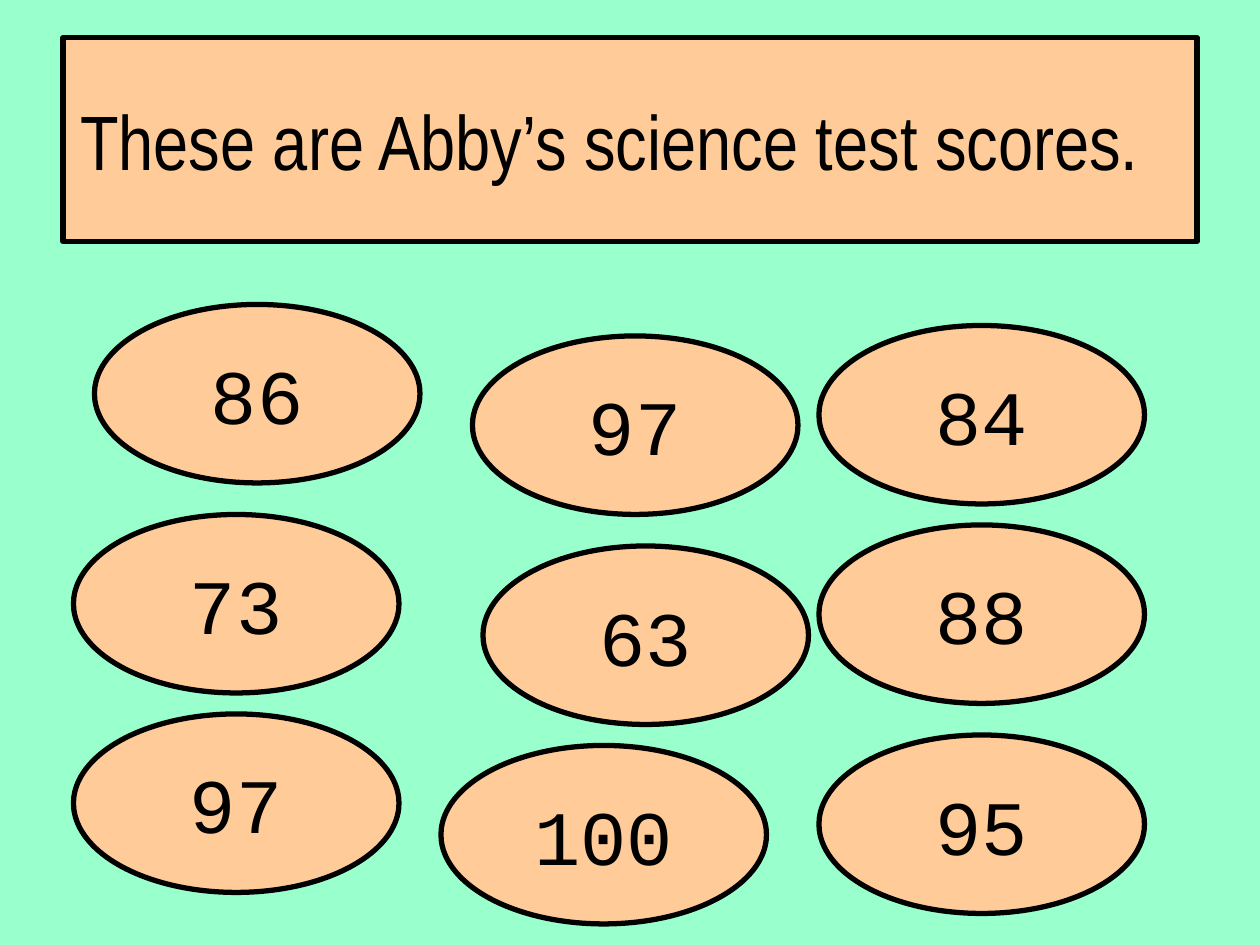
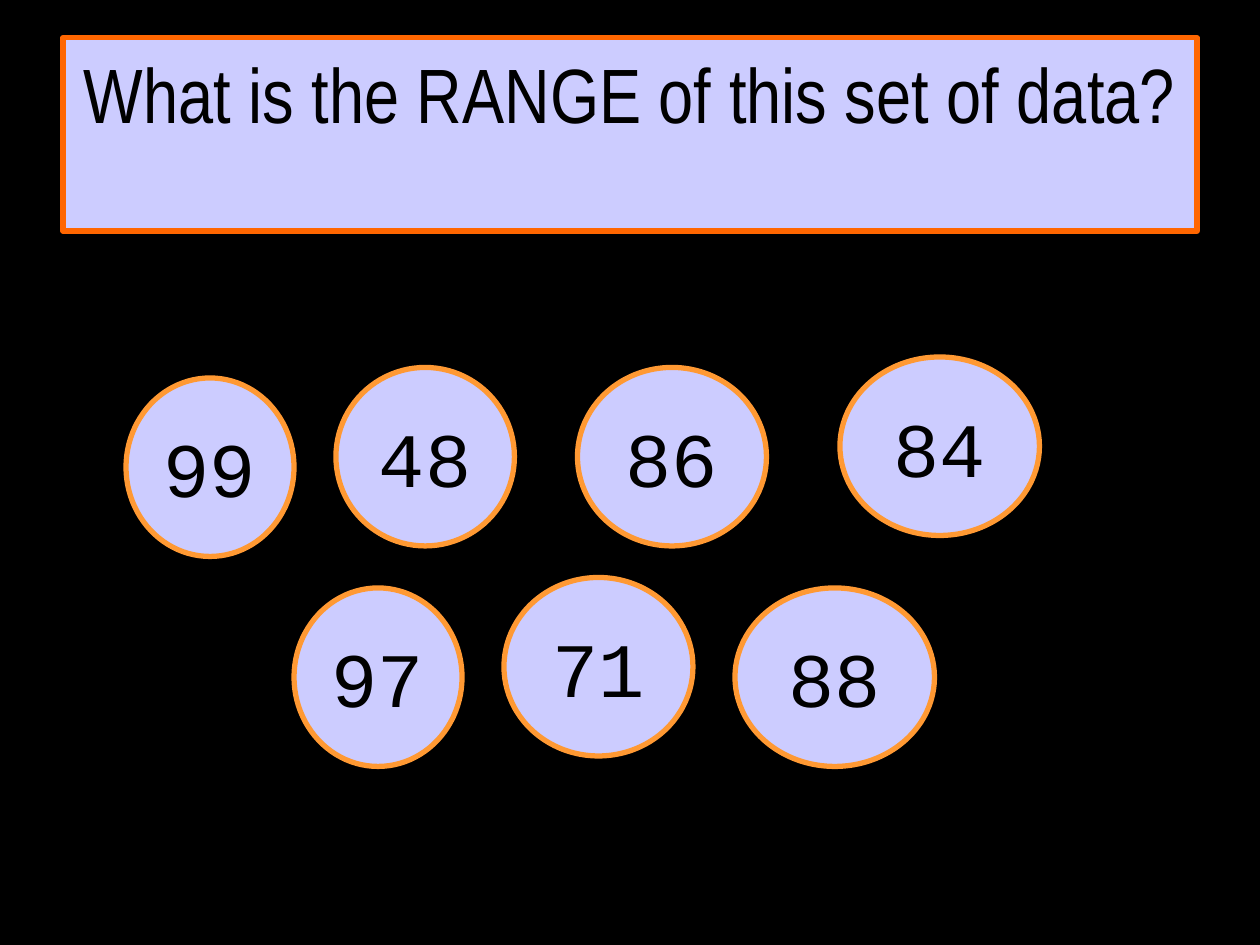
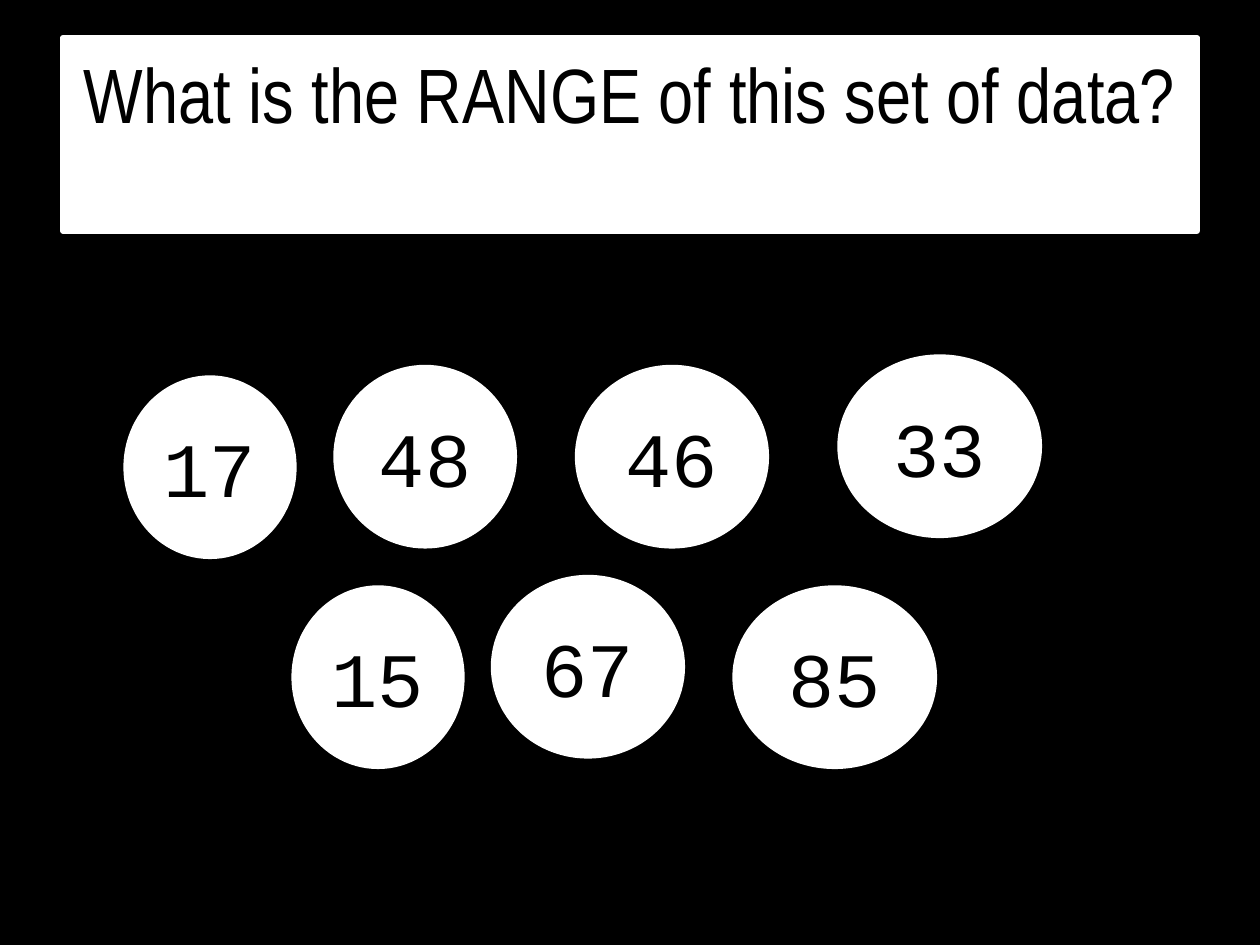
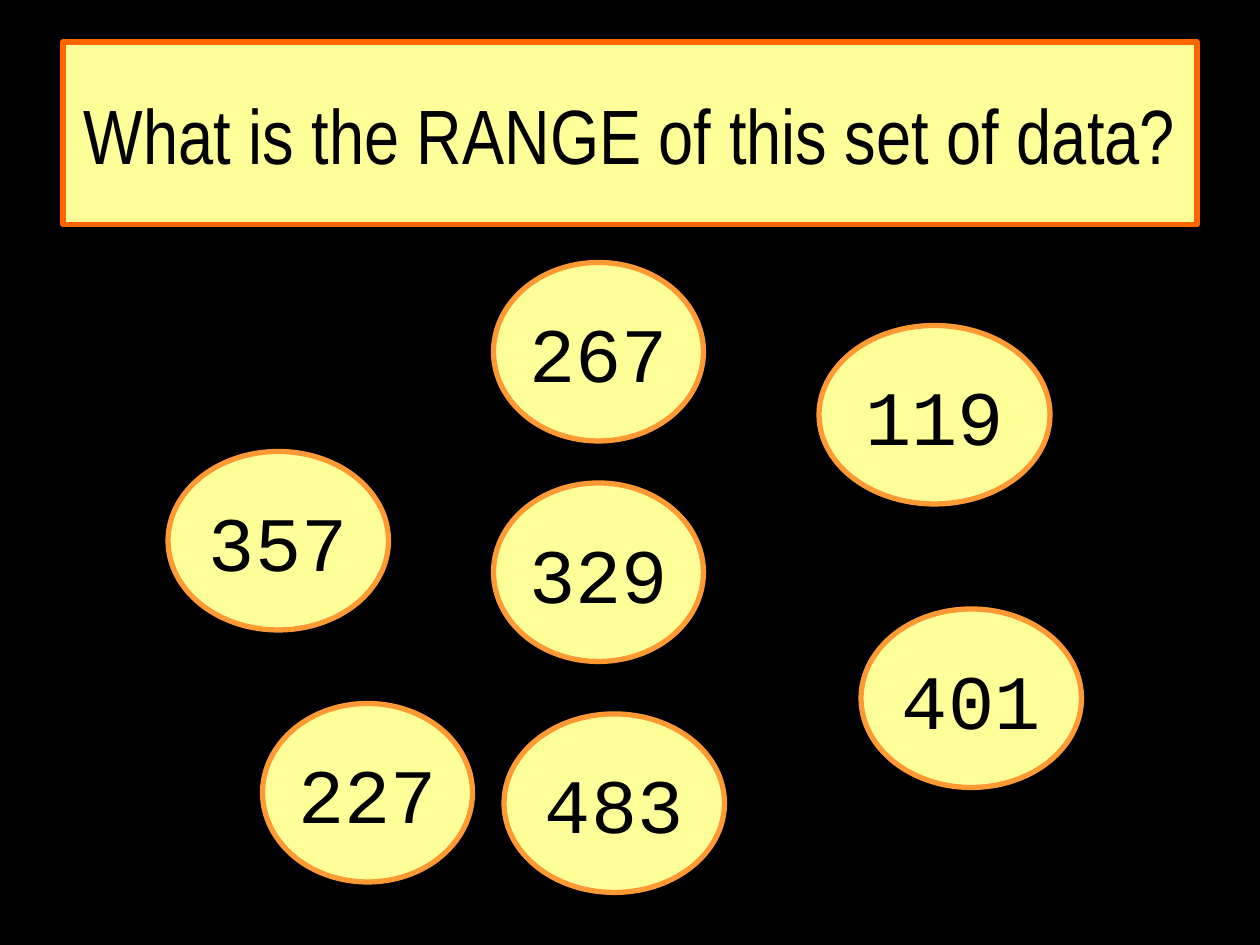
from pptx import Presentation
from pptx.dml.color import RGBColor
from pptx.enum.shapes import MSO_SHAPE as Preset
from pptx.enum.text import MSO_ANCHOR as Anchor, MSO_AUTO_SIZE as AutoSize, PP_ALIGN as Align
from pptx.util import Emu, Pt

# Shared style
PX = 7620  # 120 px to the inch
BLACK, WHITE, MINT = "000000", "FFFFFF", "99FFCC"
PEACH, LILAC, YELLOW = "FFCC99", "CCCCFF", "FFFF99"
DEEP_ORANGE, ORANGE = "FF6600", "FF9933"
TITLE_FONT, SCORE_FONT = "Arial Narrow", "Courier New"
TITLE_LEFT, TITLE_WIDTH = 60, 1080
SCORE_HEIGHT = 170
QUESTION = "What is the RANGE of this set of data?"

# Places of the numbers: left, top, width
TEST_SPOTS = [(left, top, 310) for left, top in (
    (450, 320), (780, 310), (70, 490), (780, 500), (420, 710),
    (460, 520), (70, 680), (780, 700), (90, 290))]
WIDE_SPOTS = [(800, 340, 190), (480, 550, 180), (700, 560, 190), (120, 360, 160),
              (320, 350, 170), (280, 560, 160), (550, 350, 180)]
WHITE_SPOTS = [(470, 550, 180) if spot == (480, 550, 180) else spot
               for spot in WIDE_SPOTS]
HUNDREDS_SPOTS = [(470, 250, 200), (780, 310, 220), (160, 430, 210), (820, 580, 210),
                  (470, 460, 200), (480, 680, 210), (250, 670, 200)]


def px(length):
    return Emu(length * PX)


def color(value):
    return RGBColor.from_string(value)


def apply(target, values):
    for name, value in values.items():
        setattr(target, name, value)


def paint(shape, fill, line):
    shape.shadow.inherit = False
    shape.fill.solid()
    shape.fill.fore_color.rgb = color(fill)
    shape.line.color.rgb = color(line)
    shape.line.width = Pt(3)


def write(shape, text, font, frame_format):
    frame = shape.text_frame
    frame.text = text
    apply(frame, {"auto_size": AutoSize.NONE, **frame_format})
    paragraph = frame.paragraphs[0]
    paragraph.alignment = Align.CENTER
    run_font = paragraph.runs[0].font
    apply(run_font, {"name": font, "size": Pt(44)})
    run_font.color.rgb = color(BLACK)


def add_heading(slide, text, top, height, fill, line, frame_format):
    heading = slide.shapes.title
    apply(heading, {"left": px(TITLE_LEFT), "top": px(top),
                    "width": px(TITLE_WIDTH), "height": px(height)})
    paint(heading, fill, line)
    write(heading, text, TITLE_FONT,
          {"word_wrap": True, "vertical_anchor": Anchor.MIDDLE, **frame_format})


def add_score(slide, score, spot, fill, line):
    left, top, width = spot
    oval = slide.shapes.add_shape(Preset.OVAL, px(left), px(top), px(width), px(SCORE_HEIGHT))
    paint(oval, fill, line)
    write(oval, str(score), SCORE_FONT,
          {"word_wrap": False, "vertical_anchor": Anchor.MIDDLE})


def add_data_slide(deck, background, fill, score_line, scores, spots, heading):
    slide = deck.slides.add_slide(deck.slide_layouts.get_by_name("Title Only"))
    slide.background.fill.solid()
    slide.background.fill.fore_color.rgb = color(background)
    add_heading(slide, fill=fill, **heading)
    for score, spot in zip(scores, spots):
        add_score(slide, score, spot, fill, score_line)


def main():
    deck = Presentation()
    apply(deck, {"slide_width": px(1200), "slide_height": px(900)})
    high_text = {"vertical_anchor": Anchor.TOP, "margin_top": px(8)}

    # Test scores
    add_data_slide(
        deck, MINT, PEACH, BLACK, (97, 84, 73, 88, 100, 63, 97, 95, 86), TEST_SPOTS,
        {"text": "These are Abby’s science test scores.", "top": 36, "height": 194,
         "line": BLACK, "frame_format": {"margin_left": px(0), "margin_right": px(38)}})

    # Range questions
    add_data_slide(
        deck, BLACK, LILAC, ORANGE, (84, 71, 88, 99, 48, 97, 86), WIDE_SPOTS,
        {"text": QUESTION, "top": 36, "height": 184, "line": DEEP_ORANGE,
         "frame_format": high_text})
    add_data_slide(
        deck, BLACK, WHITE, WHITE, (33, 67, 85, 17, 48, 15, 46), WHITE_SPOTS,
        {"text": QUESTION, "top": 36, "height": 184, "line": WHITE,
         "frame_format": high_text})
    add_data_slide(
        deck, BLACK, YELLOW, ORANGE, (267, 119, 357, 401, 329, 483, 227), HUNDREDS_SPOTS,
        {"text": QUESTION, "top": 40, "height": 174, "line": DEEP_ORANGE,
         "frame_format": {}})

    deck.save("out.pptx")


if __name__ == "__main__":
    main()
